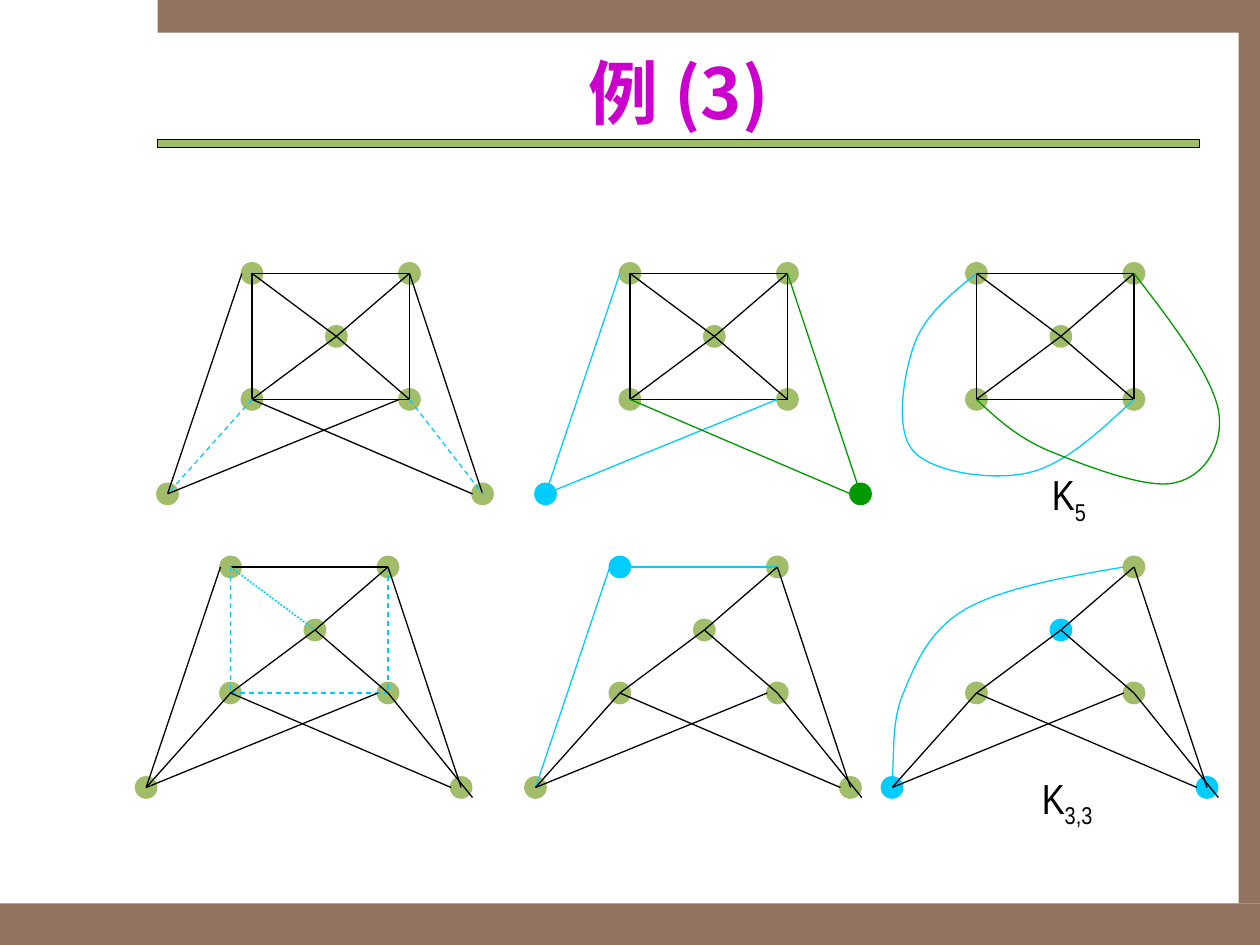
"""Build the slide of planar graph examples ending in K5 and K3,3."""
import lxml.etree
import pptx
import pptx.dml.color
import pptx.enum.dml
import pptx.enum.shapes
import pptx.enum.text
import pptx.oxml.ns
import pptx.util
from pptx.util import Inches

BROWN, OLIVE, BLACK = "91735F", "A1BD69", "000000"
BLUE, GREEN, PURPLE = "00CCFF", "009900", "CC00CC"
DASH = pptx.enum.dml.MSO_LINE.DASH
DOT = pptx.enum.dml.MSO_LINE.ROUND_DOT
qn = pptx.oxml.ns.qn

NODES = {
    "top left": (0, 0), "bottom left": (0, 1),
    "bottom right": (1.25, 1), "top right": (1.25, 0),
    "center": (0.67, 0.5), "far left": (-0.67, 1.75), "far right": (1.83, 1.75),
}
POINTS = NODES | {
    "top left rim": (-0.08, 0), "bottom right rim": (1.17, 1),
    "far right rim": (1.75, 1.75), "past far right": (1.92, 1.83),
}
LEFT_SIDE = ("top left", "bottom left")
RIGHT_SIDE = ("top right", "bottom right")
TOP = ("top left", "top right")
BOTTOM = ("bottom left", "bottom right")
UPPER_LEFT = ("top left", "center")
LOWER_RIGHT = ("center", "bottom right")
LOWER_LEFT = ("bottom left", "center")
UPPER_RIGHT = ("center", "top right")
LEFT_SLOPE = ("top left rim", "far left")
RIGHT_SLOPE = ("top right", "far right")
LEFT_LEG = ("bottom left", "far left")
RIGHT_LEG = ("bottom right", "far right")
LONG_RIGHT_LEG = ("bottom right", "past far right")
CROSS_LEFT = ("far left", "bottom right rim")
CROSS_RIGHT = ("bottom left", "far right rim")

SPOKES = [LOWER_RIGHT, LOWER_LEFT, UPPER_RIGHT]
BOXED = [LEFT_SIDE, RIGHT_SIDE, TOP, BOTTOM, UPPER_LEFT] + SPOKES
CROSSED = [CROSS_LEFT, CROSS_RIGHT]
LEGGED = [LEFT_LEG, RIGHT_SLOPE, LONG_RIGHT_LEG] + SPOKES + CROSSED


def color(hex_string):
    """Turn a hex string into a colour."""
    return pptx.dml.color.RGBColor.from_string(hex_string)


class Sketch:
    """Hold the style and the current slide."""

    def __init__(self, slide):
        self.slide = slide
        self.shapes = slide.shapes
        self.title_font = "Noto Sans CJK SC"
        self.label_font = "Arial Narrow"
        self.line_width = 0.75
        self.node_size = 0.17

    def outline(self, shape, line_color, dash=None):
        """Give a shape or connector its line."""
        shape.line.color.rgb = color(line_color)
        shape.line.width = pptx.util.Pt(1 if dash == DOT else self.line_width)
        if dash:
            shape.line.dash_style = dash

    def shape(self, kind, left, top, width, height, fill, line=None):
        """Add a filled preset shape."""
        shape = self.shapes.add_shape(
            kind, Inches(left), Inches(top), Inches(width), Inches(height))
        shape.shadow.inherit = False
        shape.fill.solid()
        shape.fill.fore_color.rgb = color(fill)
        if line:
            self.outline(shape, line)
        else:
            shape.line.fill.background()

    def bar(self, left, top, width, height, fill, line=None):
        """Add a rectangular bar."""
        self.shape(pptx.enum.shapes.MSO_SHAPE.RECTANGLE,
                   left, top, width, height, fill, line)

    def node(self, x, y, fill):
        """Add a graph node centred on a point."""
        size = self.node_size
        self.shape(pptx.enum.shapes.MSO_SHAPE.OVAL,
                   x - size / 2, y - size / 2, size, size, fill, fill)

    def edge(self, start, end, line_color, dash=None):
        """Add a straight graph edge."""
        line = self.shapes.add_connector(
            pptx.enum.shapes.MSO_CONNECTOR.STRAIGHT,
            *(Inches(value) for value in (*start, *end)))
        self.outline(line, line_color, dash)
        lxml.etree.SubElement(line._element.spPr, qn("a:effectLst"))

    def curve(self, points, line_color):
        """Add a chain of cubic curves, three points to each curve."""
        corners = [(Inches(x), Inches(y)) for x, y in points]
        builder = self.shapes.build_freeform(*corners[0])
        builder.add_line_segments(corners[1:], close=False)
        shape = builder.convert_to_shape()
        shape.shadow.inherit = False
        shape.fill.background()
        self.outline(shape, line_color)
        segments = list(shape._element.iter(qn("a:lnTo")))
        for start in range(0, len(segments), 3):
            trio = segments[start:start + 3]
            cubic = lxml.etree.SubElement(
                trio[0].getparent(), qn("a:cubicBezTo"))
            for segment in trio:
                cubic.append(segment[0])
                segment.getparent().remove(segment)

    def graph(self, x, y, edges, missing=(), fills=None, styles=None):
        """Add nodes and edges around the top left node."""
        fills, styles = fills or {}, styles or {}
        for name, (dx, dy) in NODES.items():
            if name not in missing:
                self.node(x + dx, y + dy, fills.get(name, OLIVE))
        for pair in edges:
            start, end = ((x + POINTS[name][0], y + POINTS[name][1])
                          for name in pair)
            self.edge(start, end, *styles.get(pair, (BLACK,)))

    def title(self, text):
        """Place and format the title."""
        box = self.shapes.title
        box.left, box.top = Inches(1.25), Inches(0.33)
        box.width, box.height = Inches(8.27), Inches(0.79)
        frame = box.text_frame
        frame.text = text
        frame.vertical_anchor = pptx.enum.text.MSO_ANCHOR.MIDDLE
        para = frame.paragraphs[0]
        para.alignment = pptx.enum.text.PP_ALIGN.CENTER
        font = para.runs[0].font
        font.name, font.size, font.bold = self.title_font, pptx.util.Pt(40), True
        font.color.rgb = color(PURPLE)
        lxml.etree.SubElement(font._element, qn("a:ea"), typeface=self.title_font)

    def label(self, left, top, width, text, subscript):
        """Add a graph name with a subscript."""
        box = self.shapes.add_textbox(
            Inches(left), Inches(top), Inches(width), Inches(0.56))
        box.text_frame.word_wrap = True
        para = box.text_frame.paragraphs[0]
        for part in (text, subscript):
            span = para.add_run()
            span.text = part
            span.font.name, span.font.size = self.label_font, pptx.util.Pt(24)
            span.font.color.rgb = color(BLACK)
        span.font._element.set("baseline", "-25000")


def main():
    """Draw the slide and save it."""
    deck = pptx.Presentation()
    deck.slide_width, deck.slide_height = Inches(10), Inches(7.5)
    sketch = Sketch(deck.slides.add_slide(deck.slide_layouts[5]))
    sketch.bar(0, 7.17, 10, 0.33, BROWN)
    sketch.bar(1.25, 0, 8.75, 0.26, BROWN)
    sketch.bar(9.83, 0.25, 0.17, 6.92, BROWN)
    sketch.bar(1.25, 1.11, 8.27, 0.06, OLIVE, BLACK)
    sketch.title("例 (3)")

    upper, lower = 2.17, 4.5
    dashed = (BLUE, DASH)
    slopes = [LEFT_SLOPE, RIGHT_SLOPE] + CROSSED
    sketch.graph(2, upper, BOXED + slopes + [LEFT_LEG, RIGHT_LEG],
                 styles={LEFT_LEG: dashed, RIGHT_LEG: dashed})
    sketch.graph(1.83, lower, BOXED[:5] + [LEFT_SLOPE] + LEGGED,
                 styles={LEFT_SIDE: dashed, RIGHT_SIDE: dashed,
                         BOTTOM: dashed, UPPER_LEFT: (BLUE, DOT)})
    sketch.graph(5, upper, BOXED + slopes,
                 fills={"far left": BLUE, "far right": GREEN},
                 styles={LEFT_SLOPE: (BLUE,), CROSS_LEFT: (BLUE,),
                         RIGHT_SLOPE: (GREEN,), CROSS_RIGHT: (GREEN,)})
    sketch.graph(7.75, upper, BOXED, missing=("far left", "far right"))
    sketch.curve([(7.75, 2.17), (7.54, 2.34), (7.33, 2.51), (7.25, 2.75),
                  (7.17, 2.99), (7.1, 3.42), (7.25, 3.58), (7.4, 3.75),
                  (7.88, 3.82), (8.17, 3.75), (8.46, 3.68), (8.73, 3.42),
                  (9, 3.17)], BLUE)
    sketch.curve([(7.75, 3.17), (7.91, 3.32), (8.07, 3.47), (8.33, 3.58),
                  (8.6, 3.69), (9.11, 3.89), (9.33, 3.83), (9.56, 3.78),
                  (9.72, 3.53), (9.67, 3.25), (9.61, 2.97), (9.31, 2.57),
                  (9, 2.17)], GREEN)
    sketch.label(8.25, 3.67, 0.58, "K", "5")
    sketch.label(8.17, 6.08, 0.83, "K", "3,3")
    sketch.graph(4.92, lower, [TOP, LEFT_SLOPE] + LEGGED, fills={"top left": BLUE},
                 styles={TOP: (BLUE,), LEFT_SLOPE: (BLUE,)})
    sketch.graph(7.75, lower, LEGGED, missing=("top left",),
                 fills=dict.fromkeys(("center", "far left", "far right"), BLUE))
    sketch.curve([(7.08, 6.25), (7.08, 6.27), (7.07, 6.29), (7.08, 6.17),
                  (7.1, 6.04), (7.07, 5.72), (7.17, 5.5), (7.26, 5.28),
                  (7.37, 5), (7.67, 4.83), (7.96, 4.67), (8.44, 4.58),
                  (8.92, 4.5)], BLUE)
    deck.save("out.pptx")


if __name__ == "__main__":
    main()
